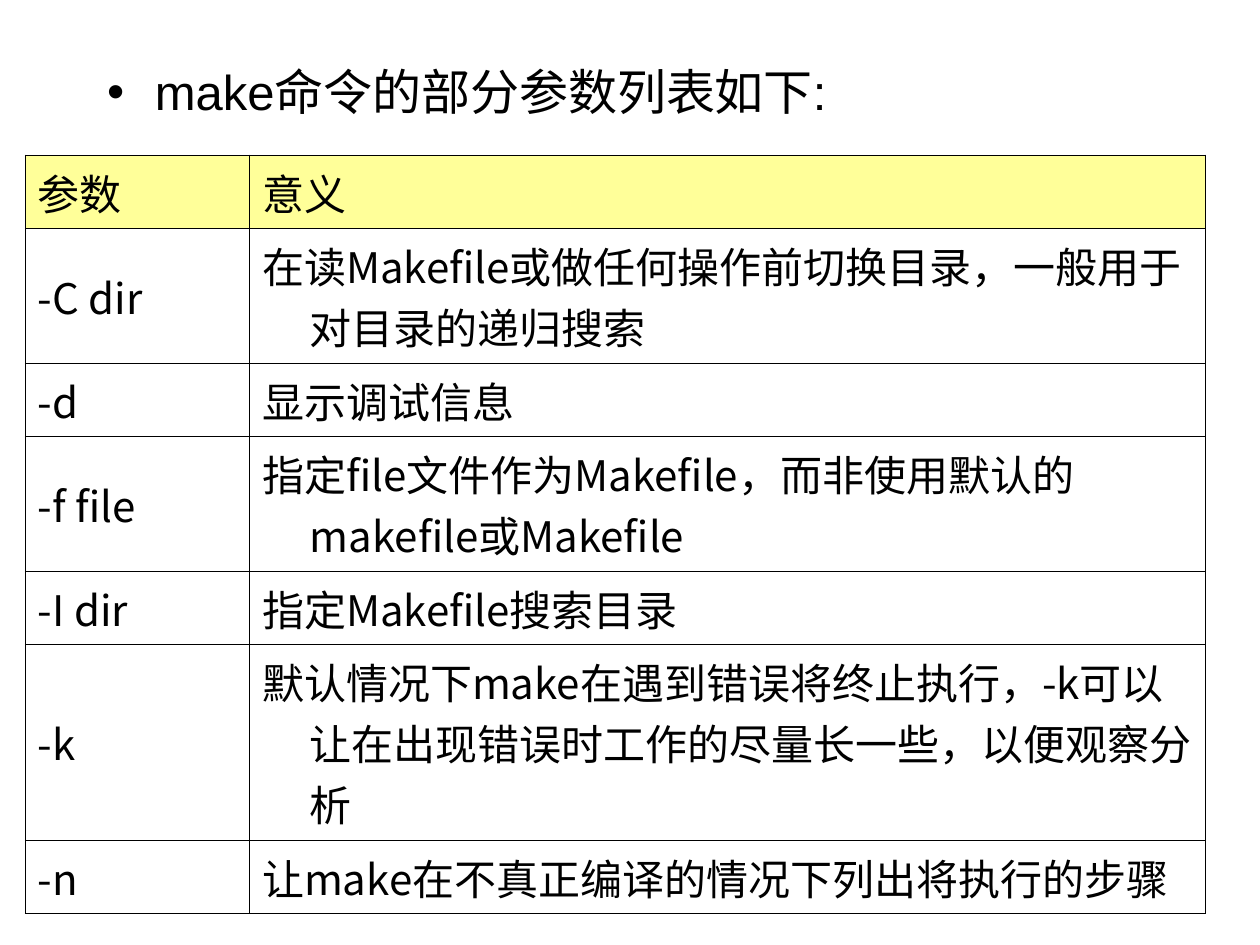
from dataclasses import dataclass

from lxml.etree import SubElement
from pptx import Presentation
from pptx.dml.color import RGBColor
from pptx.enum.text import MSO_ANCHOR, MSO_AUTO_SIZE
from pptx.oxml.ns import qn
from pptx.util import Inches, Pt


@dataclass(frozen=True)
class Theme:
    ink: str = "000000"
    header: str = "FFFF99"
    paper: str = "FFFFFF"
    latin: str = "Arial"
    chinese: str = "Noto Sans CJK SC"
    heading_size: int = 28
    table_size: int = 24
    border: float = 0.45


theme = Theme()


def write_text(frame, text, size, font, space_before=0):
    """Put one hanging-indent paragraph in a text frame."""
    para = frame.paragraphs[0]
    para.space_before = Pt(space_before)
    properties = para._p.get_or_add_pPr()
    properties.set("marL", str(Inches(0.38)))
    properties.set("indent", str(Inches(-0.38)))
    span = para.add_run()
    span.text = text
    span.font.size = Pt(size)
    span.font.name = font
    span.font.color.rgb = RGBColor.from_string(theme.ink)
    SubElement(span._r.get_or_add_rPr(), qn("a:ea"), typeface=theme.chinese)


def format_cell(cell, fill):
    """Draw the four borders of a cell, then its fill."""
    properties = cell._tc.get_or_add_tcPr()
    for side in ("lnL", "lnR", "lnT", "lnB"):
        line = SubElement(properties, qn(f"a:{side}"), w=str(Pt(theme.border)))
        solid = SubElement(line, qn("a:solidFill"))
        SubElement(solid, qn("a:srgbClr"), val=theme.ink)
    cell.fill.solid()
    cell.fill.fore_color.rgb = RGBColor.from_string(fill)
    cell.vertical_anchor = MSO_ANCHOR.MIDDLE
    cell.margin_left = cell.margin_right = Inches(0.1)
    cell.margin_top = cell.margin_bottom = Inches(0.05)


deck = Presentation()
deck.slide_width, deck.slide_height = Inches(10), Inches(7.5)
page = deck.slides.add_slide(deck.slide_layouts[1])

# Bulleted heading in the body placeholder; the slide has no title
title = page.shapes.title
title._element.getparent().remove(title._element)
heading = page.placeholders[1]
heading.left, heading.top = Inches(0.75), Inches(0.44)
heading.width, heading.height = Inches(8.82), Inches(0.72)
heading.text_frame.auto_size = MSO_AUTO_SIZE.NONE
write_text(heading.text_frame, "make命令的部分参数列表如下:",
           theme.heading_size, theme.latin, space_before=7)

# Parameter table: row height, parameter, meaning
parameters = [
    (0.5, "参数", "意义"),
    (0.9, "-C dir", "在读Makefile或做任何操作前切换目录，一般用于对目录的递归搜索"),
    (0.5, "-d", "显示调试信息"),
    (0.9, "-f file", "指定file文件作为Makefile，而非使用默认的makefile或Makefile"),
    (0.5, "-I dir", "指定Makefile搜索目录"),
    (1.3, "-k", "默认情况下make在遇到错误将终止执行，-k可以让在出现错误时工作的尽量长一些，以便观察分析"),
    (0.5, "-n", "让make在不真正编译的情况下列出将执行的步骤"),
]
table = page.shapes.add_table(len(parameters), 2, Inches(0.2), Inches(1.23),
                              Inches(9.37), Inches(5.15)).table
table.horz_banding = False
for column, width in zip(table.columns, (1.78, 7.59)):
    column.width = Inches(width)

for index, (height, *texts) in enumerate(parameters):
    table.rows[index].height = Inches(height)
    for cell, text in zip(table.rows[index].cells, texts):
        format_cell(cell, theme.paper if index else theme.header)
        write_text(cell.text_frame, text, theme.table_size, theme.chinese)
        cell.text_frame.paragraphs[0].runs[0].font.bold = False

deck.save("out.pptx")
